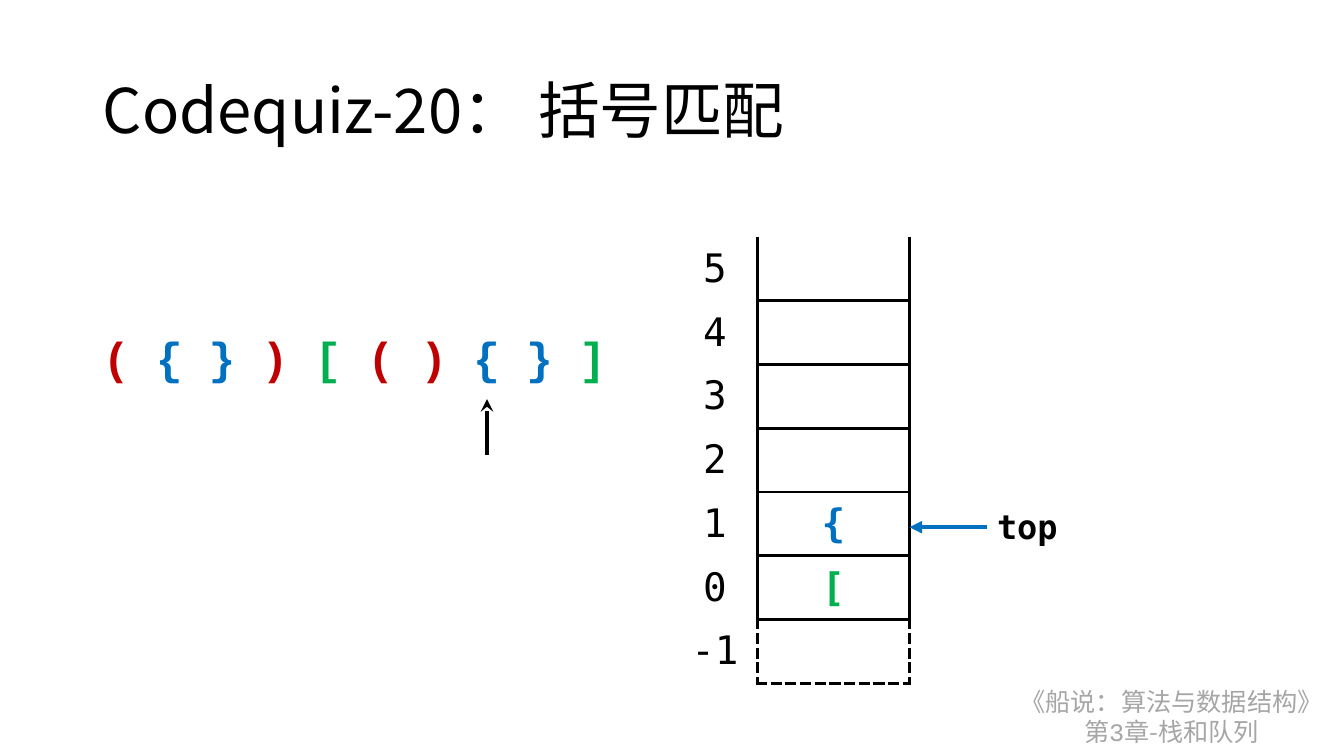
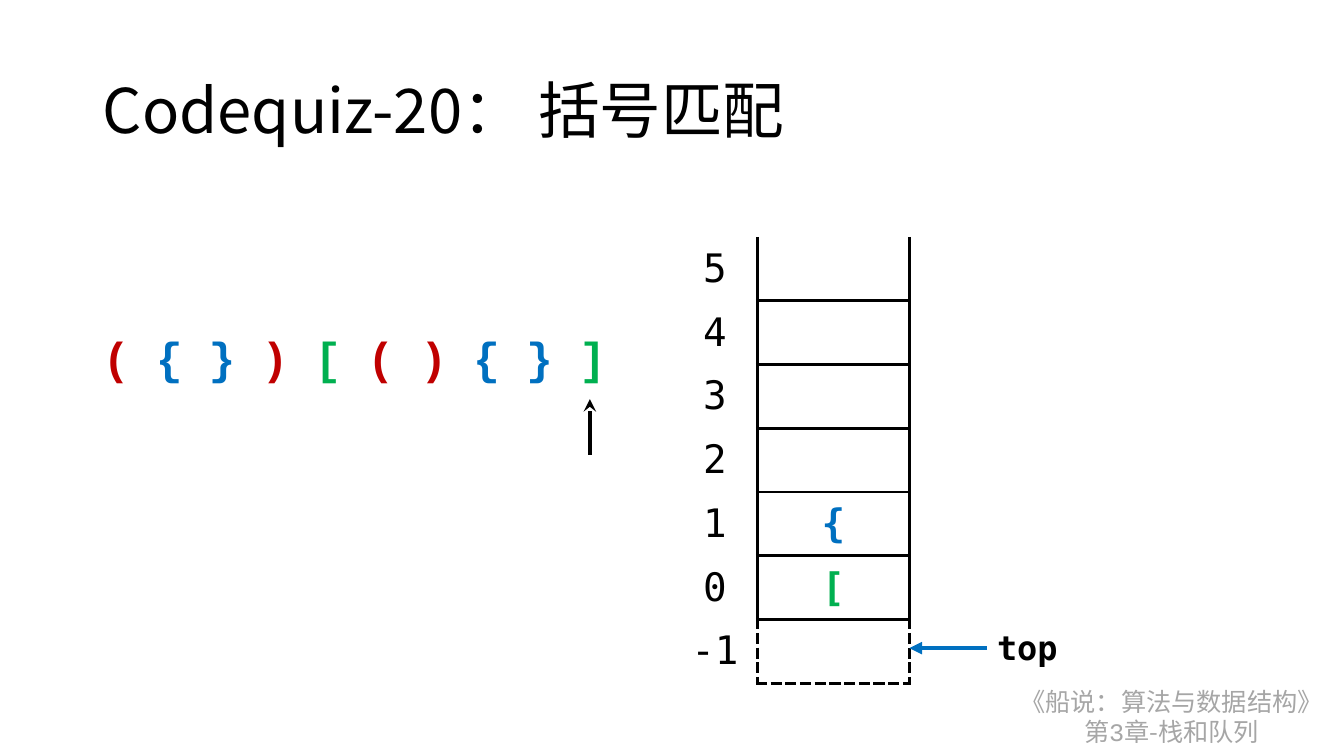
import pptx
import pptx.util
from pptx.dml.color import RGBColor
from pptx.enum.shapes import MSO_CONNECTOR
from pptx.enum.text import MSO_ANCHOR, MSO_AUTO_SIZE, PP_ALIGN
from pptx.oxml.ns import qn
from pptx.oxml.xmlchemy import OxmlElement
from pptx.util import Inches

BLACK = RGBColor(0x00, 0x00, 0x00)
GRAY = RGBColor(0xA6, 0xA6, 0xA6)
RED = RGBColor(0xC0, 0x00, 0x00)
BLUE = RGBColor(0x00, 0x70, 0xC0)
GREEN = RGBColor(0x00, 0xB0, 0x50)

CJK_FONT = "Noto Sans CJK SC"
MONO_FONT = "DejaVu Sans Mono"
BRACKET_FONT = "Courier New"
NO_STYLE_NO_GRID = "{2D5ABB26-0587-4C30-8999-92F81FD0307C}"

TITLE = "Codequiz-20： 括号匹配"
BRACKETS = "({})[(){}]"
BRACKET_COLORS = dict(zip("(){}[]", (RED, RED, BLUE, BLUE, GREEN, GREEN)))
STACK_LABELS = ("5", "4", "3", "2", "1", "0", "-1")
STACK_VALUES = {"1": "{", "0": "["}


def add_run(paragraph, text, size, font_name, color, bold=False):
    run = paragraph.add_run()
    run.text = text
    run.font.size = pptx.util.Pt(size)
    run.font.name = font_name
    run.font.bold = bold
    run.font.color.rgb = color
    east_asian = OxmlElement("a:ea")
    east_asian.set("typeface", font_name)
    run.font._element.find(qn("a:latin")).addnext(east_asian)


def add_label(slide, left, top, width, height):
    """Add an unwrapped text box and return it."""
    box = slide.shapes.add_textbox(
        Inches(left), Inches(top), Inches(width), Inches(height))
    box.text_frame.word_wrap = False
    box.text_frame.auto_size = MSO_AUTO_SIZE.SHAPE_TO_FIT_TEXT
    return box


def add_arrow(slide, start, end, color, head):
    arrow = slide.shapes.add_connector(
        MSO_CONNECTOR.STRAIGHT, *(Inches(value) for value in start + end))
    arrow.line.color.rgb = color
    arrow.line.width = pptx.util.Pt(3)
    tail_end = OxmlElement("a:tailEnd")
    tail_end.set("type", head)
    arrow.line._get_or_add_ln().append(tail_end)
    arrow.element.spPr.append(OxmlElement("a:effectLst"))


def add_plain_table(slide, left, top, column_widths, row_heights):
    frame = slide.shapes.add_table(
        len(row_heights), len(column_widths), Inches(left), Inches(top),
        Inches(sum(column_widths)), Inches(sum(row_heights)))
    table = frame.table
    table.first_row = table.horz_banding = False
    frame.element.find(".//" + qn("a:tableStyleId")).text = NO_STYLE_NO_GRID
    for column, width in zip(table.columns, column_widths):
        column.width = Inches(width)
    for row, height in zip(table.rows, row_heights):
        row.height = Inches(height)
    for cell in table.iter_cells():
        cell.vertical_anchor = MSO_ANCHOR.MIDDLE
        cell.fill.background()
    return table


def set_borders(cell, borders):
    """Draw borders given as {side: dash}, with sides in the order L, R, T, B."""
    properties = cell._tc.get_or_add_tcPr()
    for position, (side, dash) in enumerate(borders.items()):
        line = OxmlElement("a:ln" + side)
        line.set("w", str(pptx.util.Pt(2.25)))
        fill = OxmlElement("a:solidFill")
        color = OxmlElement("a:srgbClr")
        color.set("val", str(BLACK))
        fill.append(color)
        pattern = OxmlElement("a:prstDash")
        pattern.set("val", dash)
        line.extend((fill, pattern))
        properties.insert(position, line)


def add_stack(slide):
    row_count = len(STACK_LABELS)
    table = add_plain_table(
        slide, 6.67, 2.35, (0.84, 1.51), [4.43 / row_count] * row_count)
    for row, label in enumerate(STACK_LABELS):
        label_cell, value_cell = table.cell(row, 0), table.cell(row, 1)
        paragraph = label_cell.text_frame.paragraphs[0]
        paragraph.alignment = PP_ALIGN.CENTER
        add_run(paragraph, label, 28, MONO_FONT, BLACK)
        if label in STACK_VALUES:
            value = STACK_VALUES[label]
            paragraph = value_cell.text_frame.paragraphs[0]
            paragraph.alignment = PP_ALIGN.CENTER
            add_run(paragraph, value, 28, MONO_FONT, BRACKET_COLORS[value], True)

        dash = "sysDash" if label == "-1" else "solid"
        borders = {"L": dash, "R": dash, "T": "solid", "B": dash}
        if row == 0:
            del borders["T"]
        set_borders(label_cell, {"R": dash})
        set_borders(value_cell, borders)


def add_bracket_row(slide):
    count = len(BRACKETS)
    table = add_plain_table(slide, 0.92, 3.22, [5.25 / count] * count, [0.75])
    for cell, bracket in zip(table.iter_cells(), BRACKETS):
        add_run(cell.text_frame.paragraphs[0], bracket, 32, BRACKET_FONT,
                BRACKET_COLORS[bracket], True)


def add_top_marker(slide, y):
    add_arrow(slide, (9.79, y), (9.02, y), BLUE, "triangle")
    box = add_label(slide, 9.79, y - 0.26, 0.81, 0.5)
    add_run(box.text_frame.paragraphs[0], "top", 24, MONO_FONT, BLACK, True)


def prepare_layout(layout, slide):
    """Place the title and the footer on the layout, by way of a slide using it."""
    title = layout.placeholders[0]
    title.left, title.top = Inches(0.92), Inches(0.4)
    title.width, title.height = Inches(11.5), Inches(1.45)

    footer = add_label(slide, 9.97, 6.76, 3.3, 0.71)
    book = footer.text_frame.paragraphs[0]
    chapter = footer.text_frame.add_paragraph()
    book.alignment = chapter.alignment = PP_ALIGN.CENTER
    add_run(book, "《船说：算法与数据结构》", 18, CJK_FONT, GRAY)
    add_run(chapter, "第", 18, CJK_FONT, GRAY)
    add_run(chapter, "3", 18, BRACKET_FONT, GRAY)
    add_run(chapter, "章-栈和队列", 18, CJK_FONT, GRAY)
    layout.shapes.element.append(footer.element)


def add_title(slide):
    title = slide.shapes.title
    title.text_frame.vertical_anchor = MSO_ANCHOR.MIDDLE
    paragraph = title.text_frame.paragraphs[0]
    paragraph.alignment = PP_ALIGN.LEFT
    paragraph.line_spacing = 0.9
    add_run(paragraph, TITLE, 44, CJK_FONT, BLACK)


def fill_slide(slide, pointer_x, top_y):
    add_title(slide)
    add_stack(slide)
    add_top_marker(slide, top_y)
    add_bracket_row(slide)
    add_arrow(slide, (pointer_x, 4.51), (pointer_x, 3.96), BLACK, "stealth")


def main():
    presentation = pptx.Presentation()
    presentation.slide_width = Inches(13.33)
    presentation.slide_height = Inches(7.5)
    layout = presentation.slide_layouts.get_by_name("Title Only")
    slides = [presentation.slides.add_slide(layout) for _ in range(2)]
    prepare_layout(layout, slides[0])
    fill_slide(slides[0], pointer_x=4.83, top_y=5.23)
    fill_slide(slides[1], pointer_x=5.85, top_y=6.43)
    presentation.save("out.pptx")


if __name__ == "__main__":
    main()
